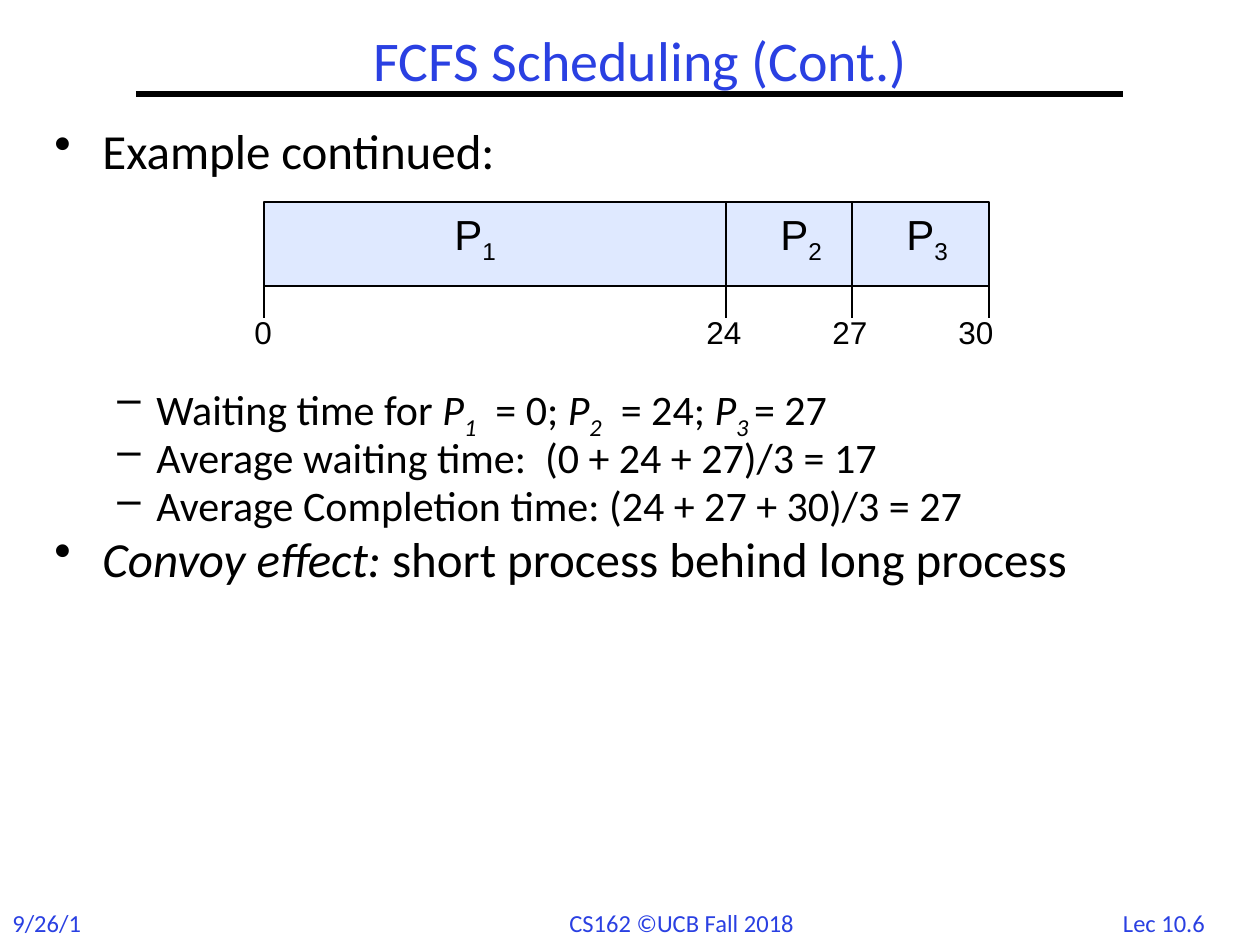
from pptx import Presentation
from pptx.dml.color import RGBColor
from pptx.enum.shapes import MSO_CONNECTOR, MSO_SHAPE
from pptx.enum.text import MSO_ANCHOR, PP_ALIGN
from pptx.oxml.ns import qn
from pptx.util import Emu, Pt
from lxml import etree

PX = 914400 // 126
COLORS = {"ink": "000000", "blue": "2A40E2", "bar": "DFE9FF"}

prs = Presentation()
prs.slide_width, prs.slide_height = Emu(1260 * PX), Emu(945 * PX)
s = prs.slides.add_slide(prs.slide_layouts[6])


def add_text(x, y, w, h, runs, size, font="Calibri", color="ink",
             align=PP_ALIGN.LEFT, anchor=MSO_ANCHOR.TOP, wrap=False, p=None):
    """Write (text, style) runs in a new box, or in paragraph p; i = italic, s = subscript."""
    if p is None:
        tf = s.shapes.add_textbox(x * PX, y * PX, w * PX, h * PX).text_frame
        tf.word_wrap, tf.vertical_anchor = wrap, anchor
        p = tf.paragraphs[0]
        p.alignment = align
    for text, style in runs:
        r = p.add_run()
        r.text = text
        r.font.size, r.font.name = Pt(size), font
        r.font.color.rgb = RGBColor.from_string(COLORS[color])
        if "i" in style:
            r.font.italic = True
        if "s" in style:
            r.font._element.set("baseline", "-25000")
    return p


def add_line(x1, y1, x2, y2, width=0.75):
    ln = s.shapes.add_connector(MSO_CONNECTOR.STRAIGHT, x1 * PX, y1 * PX, x2 * PX, y2 * PX)
    ln.line.color.rgb = RGBColor.from_string(COLORS["ink"])
    ln.line.width = Pt(width)
    etree.SubElement(ln._element.spPr, qn("a:effectLst"))


# Footer
for x, w, text, align in [(0, 101, "9/26/18", PP_ALIGN.LEFT),
                          (557, 262, "CS162 ©UCB Fall 2018", PP_ALIGN.LEFT),
                          (1099, 130, "Lec 10.6", PP_ALIGN.CENTER)]:
    add_text(x, 902, w, 43, [(text, "")], 14, color="blue", align=align)

# Title and rule
add_line(136, 94, 1123, 94, 3)
p = add_text(42, 32, 1197, 63, [("FCFS Scheduling (Cont.)", "")], 32, color="blue",
             align=PP_ALIGN.CENTER, anchor=MSO_ANCHOR.MIDDLE, wrap=True)
p.line_spacing = 0.9

# Body: level, line spacing, space before, runs
body = [
    (0, 0.8, 0, [("Example continued:", "")]),
    (1, 0.6, 125, [("Waiting time for ", ""), ("P", "i"), ("1", "is"), ("  = 0; ", ""),
                   ("P", "i"), ("2", "is"), ("  = 24; ", ""),
                   ("P", "i"), ("3 ", "is"), ("= 27", "")]),
    (1, 0.8, 4.8, [("Average waiting time:  (0 + 24 + 27)/3 = 17", "")]),
    (1, 0.8, 4.8, [("Average Completion time: (24 + 27 + 30)/3 = 27", "")]),
    (0, 0.8, 5.6, [("Convoy effect:", "i"), (" short process behind long process", "")]),
]
levels = [(48, 48, "•", 28), (102, 39, "–", 24)]  # margin, hang, bullet, size
tf = s.shapes.add_textbox(42 * PX, 126 * PX, 1197 * PX, 819 * PX).text_frame
tf.word_wrap = True
for n, (level, spacing, before, runs) in enumerate(body):
    p = tf.add_paragraph() if n else tf.paragraphs[0]
    margin, hang, bullet, size = levels[level]
    p.level, p.line_spacing, p.space_before = level, spacing, Pt(before)
    pPr = p._p.get_or_add_pPr()
    pPr.set("marL", str(margin * PX))
    pPr.set("indent", str(-hang * PX))
    etree.SubElement(pPr, qn("a:buChar")).set("char", bullet)
    add_text(0, 0, 0, 0, runs, size, p=p)

# Gantt bar
top, bottom, tick = 202, 286, 318
sp = s.shapes.add_shape(MSO_SHAPE.RECTANGLE, 264 * PX, top * PX, 725 * PX, (bottom - top) * PX)
sp.shadow.inherit = False
sp.fill.solid()
sp.fill.fore_color.rgb = RGBColor.from_string(COLORS["bar"])
sp.line.color.rgb = RGBColor.from_string(COLORS["ink"])
sp.line.width = Pt(0.75)

# Process names
for n, x in enumerate([442, 768, 894], 1):
    add_text(x, 205, 69, 64, [("P", ""), (str(n), "s")], 24, "Arial", anchor=MSO_ANCHOR.MIDDLE)

# Dividers, ticks and times
for x, label_x, w, time in [(264, 242, 43, 0), (726, 694, 60, 24),
                            (852, 820, 60, 27), (989, 946, 60, 30)]:
    if 0 < time < 30:
        add_line(x, top, x, bottom)
    add_line(x, bottom, x, tick)
    add_text(label_x, 307, w, 50, [(str(time), "")], 18, "Arial", anchor=MSO_ANCHOR.MIDDLE)

prs.save("out.pptx")
